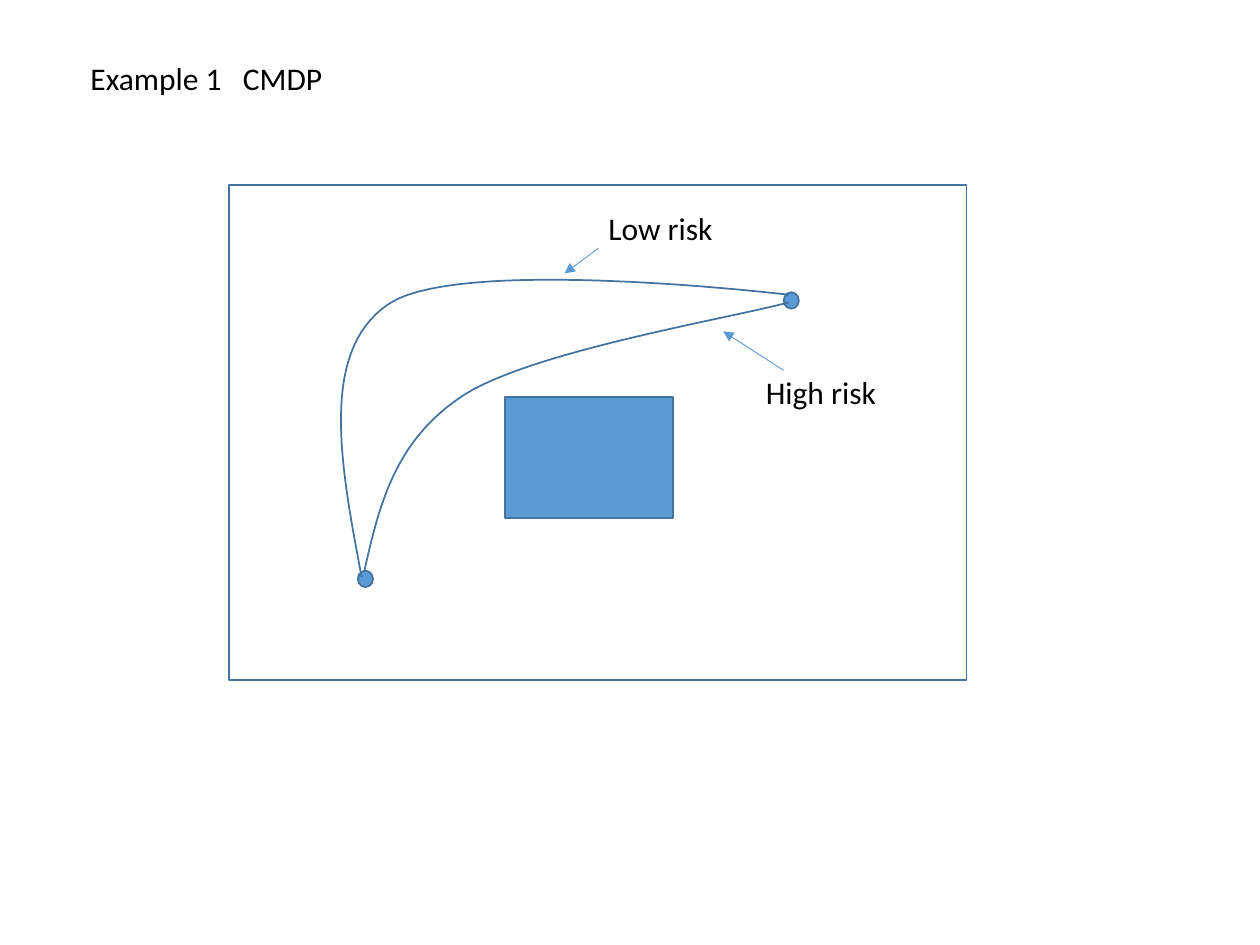
from typing import NamedTuple

from lxml import etree
from pptx import Presentation
from pptx.dml.color import RGBColor
from pptx.enum.shapes import MSO_CONNECTOR, MSO_SHAPE
from pptx.oxml.ns import qn
from pptx.util import Inches, Pt

RECTANGLE = MSO_SHAPE.RECTANGLE
OVAL = MSO_SHAPE.OVAL
STRAIGHT = MSO_CONNECTOR.STRAIGHT

BLUE = RGBColor(0x5B, 0x9B, 0xD5)
DARK_BLUE = RGBColor(0x43, 0x73, 0x9E)
BLACK = RGBColor(0, 0, 0)
STEPS_PER_CURVE = 30

Point = tuple[float, float]


class Label(NamedTuple):
    text: str
    left: float
    top: float
    width: float
    tab: float | None = None


class Block(NamedTuple):
    kind: MSO_SHAPE
    left: float
    top: float
    width: float
    height: float
    filled: bool = True


class Arrow(NamedTuple):
    start: Point
    end: Point


class Route(NamedTuple):
    """Cubic curves joined end to end: a start, then three points per curve."""
    points: list[Point]


BLOCKS = [
    Block(RECTANGLE, 1.82, 1.47, 5.85, 3.93, filled=False),
    Block(OVAL, 2.84, 4.53, 0.12, 0.13),
    Block(RECTANGLE, 4.01, 3.15, 1.33, 0.96),
    Block(OVAL, 6.22, 2.32, 0.12, 0.13),
]
ROUTES = [
    Route([(2.89, 4.54), (3.01, 4.01), (3.13, 3.49), (3.69, 3.13),
           (4.25, 2.78), (5.83, 2.52), (6.26, 2.4)]),
    Route([(2.87, 4.58), (2.7, 3.68), (2.53, 2.78), (3.09, 2.41),
           (3.66, 2.03), (6.26, 2.34), (6.26, 2.34)]),
]
ARROWS = [
    Arrow((6.22, 2.94), (5.74, 2.63)),
    Arrow((4.75, 1.97), (4.48, 2.17)),
]
LABELS = [
    Label("Example 1\tCMDP", 0.62, 0.42, 6.4, tab=1.21),
    Label("High risk", 5.98, 2.91, 1.25),
    Label("Low risk", 4.73, 1.61, 1.25),
]


def style_outline(shape) -> None:
    shape.shadow.inherit = False
    shape.line.color.rgb = DARK_BLUE
    shape.line.width = Pt(1)


def add_block(slide, block: Block) -> None:
    shape = slide.shapes.add_shape(
        block.kind, Inches(block.left), Inches(block.top),
        Inches(block.width), Inches(block.height))
    style_outline(shape)
    if block.filled:
        shape.fill.solid()
        shape.fill.fore_color.rgb = BLUE
    else:
        shape.fill.background()


def curve_point(controls: list[Point], t: float) -> Point:
    weights = ((1 - t) ** 3, 3 * t * (1 - t) ** 2, 3 * t * t * (1 - t), t ** 3)
    x, y = (sum(weight * value for weight, value in zip(weights, axis))
            for axis in zip(*controls))
    return Inches(x), Inches(y)


def add_route(slide, route: Route) -> None:
    vertices = [
        curve_point(route.points[first:first + 4], step / STEPS_PER_CURVE)
        for first in range(0, len(route.points) - 1, 3)
        for step in range(1, STEPS_PER_CURVE + 1)
    ]
    start_x, start_y = route.points[0]
    builder = slide.shapes.build_freeform(Inches(start_x), Inches(start_y))
    builder.add_line_segments(vertices, close=False)
    shape = builder.convert_to_shape()
    style_outline(shape)
    shape.fill.background()


def add_arrow(slide, arrow: Arrow) -> None:
    lengths = [Inches(value) for value in arrow.start + arrow.end]
    connector = slide.shapes.add_connector(STRAIGHT, *lengths)
    connector.line.color.rgb = BLUE
    connector.line.width = Pt(0.5)
    line = connector.line._get_or_add_ln()
    etree.SubElement(line, qn("a:tailEnd"), type="triangle")
    etree.SubElement(connector._element.spPr, qn("a:effectLst"))


def add_label(slide, label: Label) -> None:
    box = slide.shapes.add_textbox(
        Inches(label.left), Inches(label.top), Inches(label.width), Inches(0.4))
    box.text_frame.word_wrap = True
    paragraph = box.text_frame.paragraphs[0]
    paragraph.text = label.text
    paragraph.font.name = "Calibri"
    paragraph.font.size = Pt(18)
    paragraph.font.color.rgb = BLACK
    if label.tab is not None:
        tab_list = etree.Element(qn("a:tabLst"))
        etree.SubElement(tab_list, qn("a:tab"), pos=str(Inches(label.tab)), algn="l")
        paragraph._p.get_or_add_pPr().insert(0, tab_list)


def main() -> None:
    presentation = Presentation()
    presentation.slide_width = Inches(10)
    presentation.slide_height = Inches(7.5)
    slide = presentation.slides.add_slide(presentation.slide_layouts[6])

    # Area, obstacle and end points
    for block in BLOCKS:
        add_block(slide, block)

    # Routes between the end points
    for route in ROUTES:
        add_route(slide, route)

    # Title, risk labels and their arrows
    for arrow in ARROWS:
        add_arrow(slide, arrow)
    for label in LABELS:
        add_label(slide, label)

    presentation.save("out.pptx")


main()
